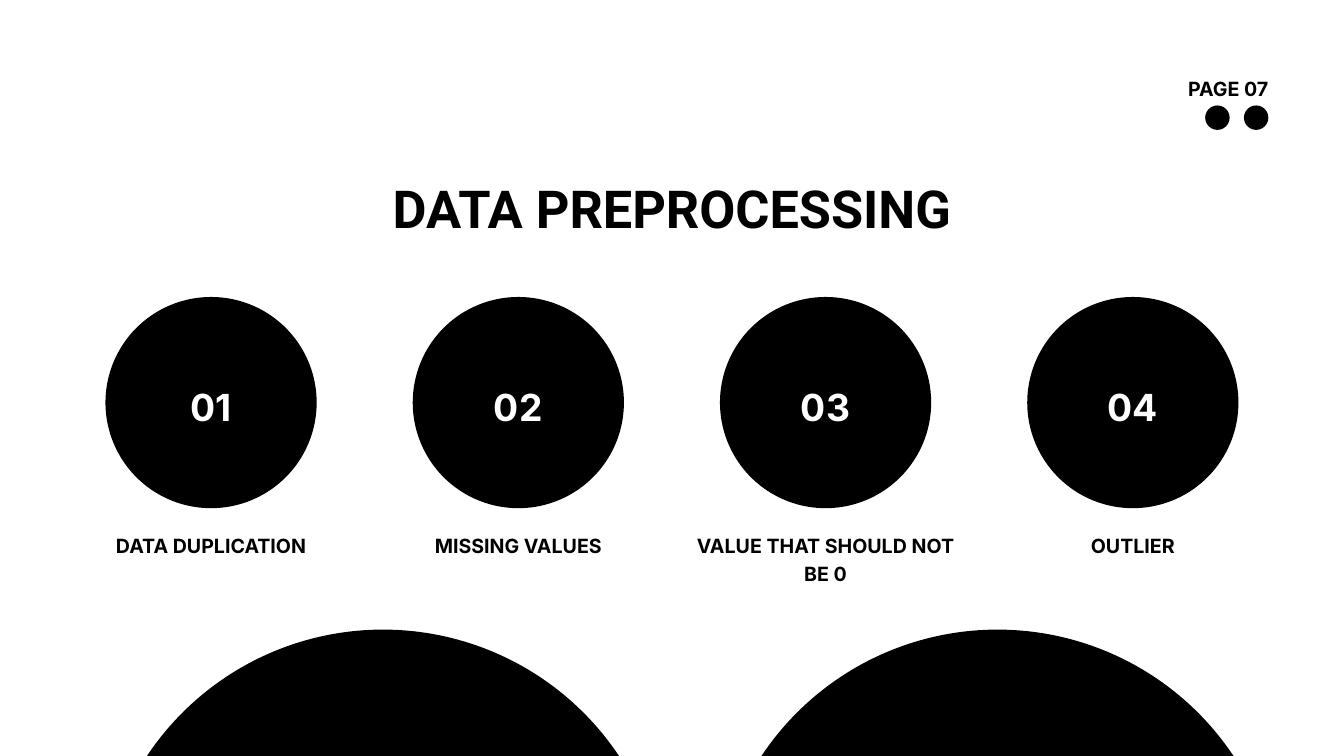
from pptx import Presentation
from pptx.dml.color import RGBColor
from pptx.enum.shapes import MSO_SHAPE
from pptx.enum.text import MSO_AUTO_SIZE, PP_ALIGN
from pptx.util import Pt

OVAL = MSO_SHAPE.OVAL
CENTER, RIGHT = PP_ALIGN.CENTER, PP_ALIGN.RIGHT
GROW = MSO_AUTO_SIZE.SHAPE_TO_FIT_TEXT

BLACK = RGBColor(0x00, 0x00, 0x00)
WHITE = RGBColor(0xFF, 0xFF, 0xFF)

STEPS = ["DATA DUPLICATION", "MISSING VALUES", "VALUE THAT SHOULD NOT BE 0", "OUTLIER"]
STEP_PITCH = 329.2
STEP_DIAMETER = 226.3
LABEL_WIDTH = 291


def add_circle(page, left, top, diameter):
    circle = page.shapes.add_shape(OVAL, Pt(left), Pt(top), Pt(diameter), Pt(diameter))
    circle.shadow.inherit = False
    circle.fill.solid()
    circle.fill.fore_color.rgb = BLACK
    circle.line.fill.background()


def add_text(page, left, top, width, height, text, size, leading,
             font="Inter", color=BLACK, align=CENTER):
    box = page.shapes.add_textbox(Pt(left), Pt(top), Pt(width), Pt(height))
    frame = box.text_frame
    frame.word_wrap = True
    frame.auto_size = GROW
    frame.margin_left = frame.margin_top = frame.margin_right = frame.margin_bottom = 0
    frame.text = text
    para = frame.paragraphs[0]
    para.alignment = align
    para.line_spacing = Pt(leading)
    span = para.runs[0]
    span.font.name = font
    span.font.size = Pt(size)
    span.font.bold = True
    span.font.color.rgb = color


def add_page_marker(page, left, top, width):
    """Page number over two dots, all flush with the right edge of the box."""
    add_text(page, left, top, width, 28, "PAGE 07", 21, 29.4, align=RIGHT)
    diameter, pitch = 26.2, 41.5
    for index in range(2):
        add_circle(page, left + width - diameter - index * pitch, top + 35.2, diameter)


def add_step(page, left, top, number, label):
    """Numbered circle with its label centred below."""
    center = left + STEP_DIAMETER / 2
    add_circle(page, left, top, STEP_DIAMETER)
    add_text(page, center - 57, top + 85, 114, 52, f"{number:02d}", 39.9, 55.9, color=WHITE)
    add_text(page, center - LABEL_WIDTH / 2, top + 249.8, LABEL_WIDTH, 28, label, 21, 29.4)


def add_bottom_circles(page, left, top):
    for index in range(2):
        add_circle(page, left + index * 2 * STEP_PITCH, top, 607.7)


def main():
    deck = Presentation()
    deck.slide_width, deck.slide_height = Pt(1440), Pt(810)
    page = deck.slides.add_slide(deck.slide_layouts[6])
    page.background.fill.solid()
    page.background.fill.fore_color.rgb = WHITE

    add_text(page, 380.6, 178, 679, 74, "DATA PREPROCESSING", 56, 78.4, font="Roboto")
    for index, label in enumerate(STEPS):
        add_step(page, 113 + index * STEP_PITCH, 318.2, index + 1, label)
    add_bottom_circles(page, 106.5, 674.6)
    add_page_marker(page, 1249.4, 77.8, 109.6)

    deck.save("out.pptx")


if __name__ == "__main__":
    main()
